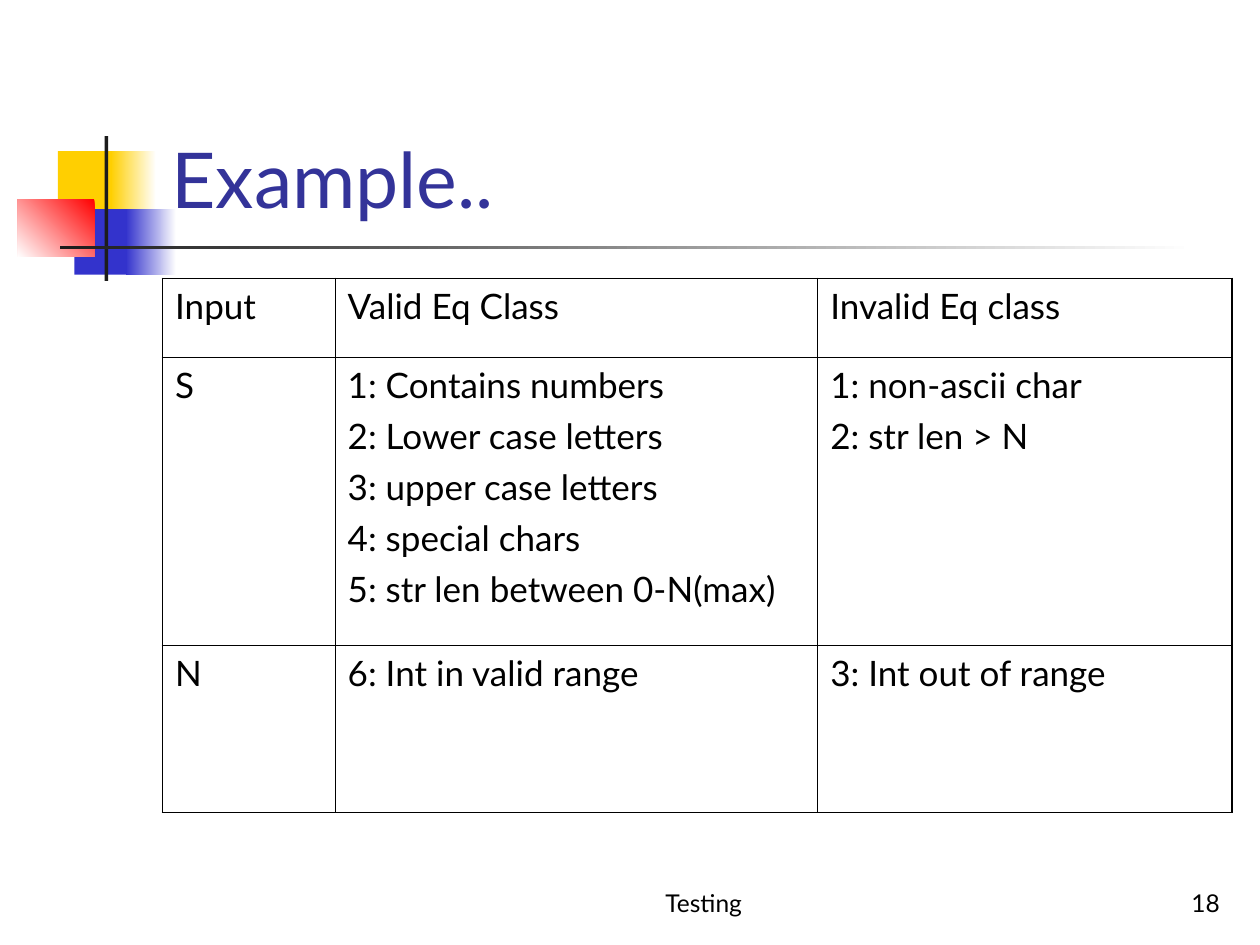
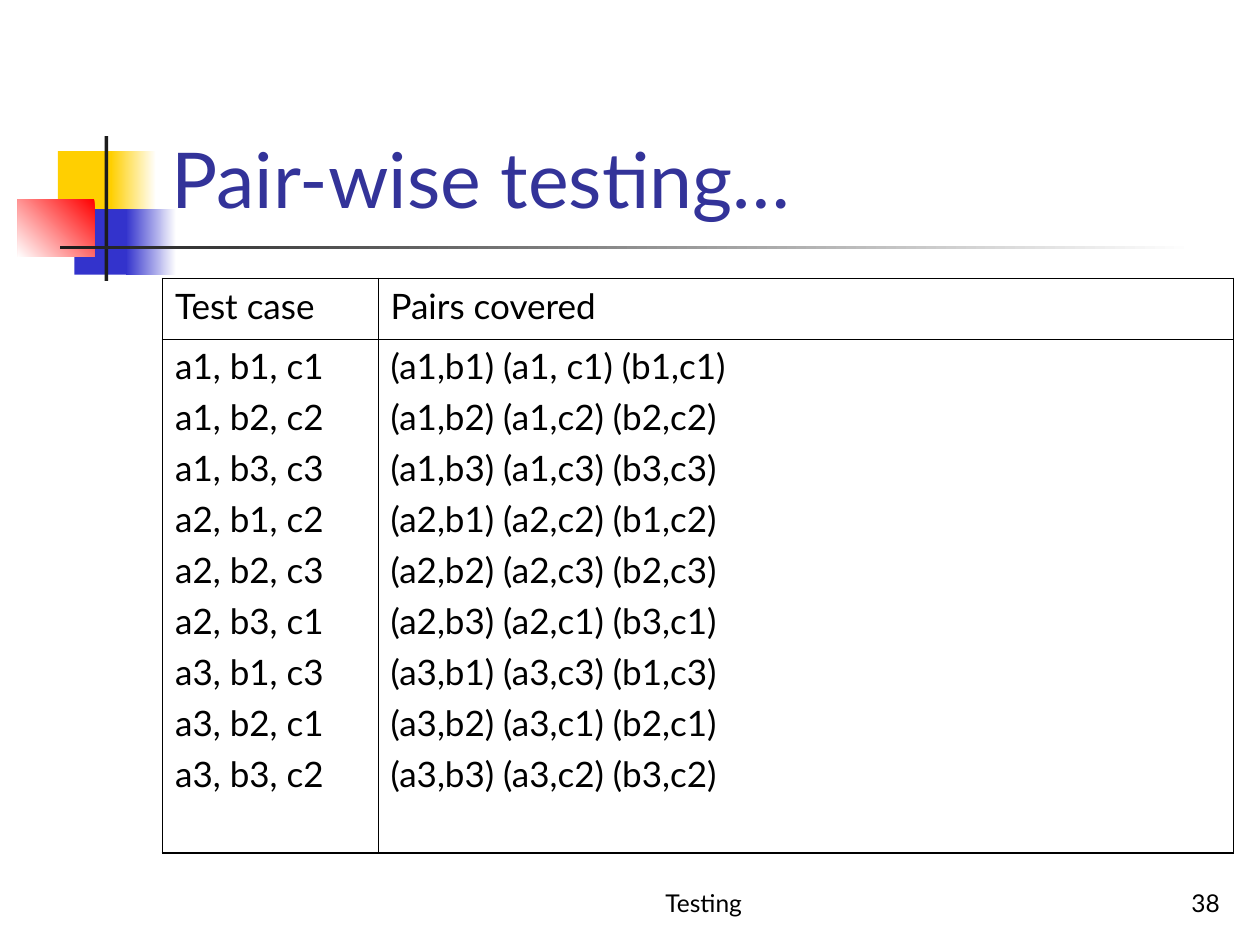
from dataclasses import dataclass
from typing import Optional

from lxml.etree import SubElement
from pptx import Presentation
from pptx.dml.color import RGBColor
from pptx.enum.shapes import MSO_SHAPE
from pptx.enum.text import MSO_ANCHOR, MSO_AUTO_SIZE, PP_ALIGN
from pptx.oxml.ns import qn
from pptx.slide import Slide, SlideLayout
from pptx.table import _Cell
from pptx.text.text import TextFrame
from pptx.util import Emu, Pt

PX_PER_INCH = 100
EMU_PER_PX = 914400 // PX_PER_INCH

WHITE = RGBColor(0xFF, 0xFF, 0xFF)
BLACK = RGBColor(0x00, 0x00, 0x00)
YELLOW = RGBColor(0xFF, 0xCF, 0x01)
BLUE = RGBColor(0x33, 0x33, 0xCC)
RED = RGBColor(0xFF, 0x00, 0x00)
CHARCOAL = RGBColor(0x1C, 0x1C, 0x1C)
TITLE_BLUE = RGBColor(0x33, 0x33, 0x99)

FONT = "Lato"
OUTER_BORDER = Pt(1.08)
INNER_BORDER = Pt(0.45)


@dataclass(frozen=True)
class Area:
    left: int
    top: int
    width: int
    height: int

    def emu(self) -> tuple[Emu, Emu, Emu, Emu]:
        return px(self.left), px(self.top), px(self.width), px(self.height)


@dataclass(frozen=True)
class Block:
    area: Area
    start: RGBColor
    end: Optional[RGBColor] = None
    angle: int = 180


@dataclass(frozen=True)
class TextStyle:
    size: int
    color: RGBColor = BLACK
    align: PP_ALIGN = PP_ALIGN.LEFT
    space_before: int = 0


@dataclass(frozen=True)
class TablePage:
    title: str
    number: str
    column_widths: list[int]
    row_heights: list[int]
    rows: list[list[list[str]]]


TITLE_AREA = Area(126, 23, 852, 160)
FOOTER_AREA = Area(400, 683, 317, 50)
NUMBER_AREA = Area(770, 683, 208, 50)
TABLE_LEFT, TABLE_TOP = 129, 221

TITLE_STYLE = TextStyle(44, TITLE_BLUE)
CELL_STYLE = TextStyle(20, space_before=5)
FOOTER_STYLE = TextStyle(14, align=PP_ALIGN.CENTER)
NUMBER_STYLE = TextStyle(14, align=PP_ALIGN.RIGHT)

MOTIF = [
    Block(Area(46, 120, 48, 52), YELLOW),
    Block(Area(88, 120, 36, 52), WHITE, YELLOW),
    Block(Area(59, 166, 46, 52), BLUE),
    Block(Area(100, 166, 40, 52), WHITE, BLUE),
    Block(Area(14, 158, 61, 46), RED, WHITE, 225),
    Block(Area(83, 108, 3, 115), CHARCOAL),
    Block(Area(48, 195, 900, 3), WHITE, CHARCOAL),
]

PAGES = [
    TablePage(
        "Example..", "18", [137, 383, 329], [63, 228, 133],
        [
            [["Input"], ["Valid Eq Class"], ["Invalid Eq class"]],
            [
                ["S"],
                [
                    "1: Contains numbers",
                    "2: Lower case letters",
                    "3: upper case letters",
                    "4: special chars",
                    "5: str len between 0-N(max)",
                ],
                ["1: non-ascii char", "2: str len > N"],
            ],
            [["N"], ["6: Int in valid range"], ["3: Int out of range"]],
        ],
    ),
    TablePage(
        "Pair-wise testing…", "38", [171, 679], [48, 408],
        [
            [["Test case"], ["Pairs covered"]],
            [
                [
                    "a1, b1, c1", "a1, b2, c2", "a1, b3, c3",
                    "a2, b1, c2", "a2, b2, c3", "a2, b3, c1",
                    "a3, b1, c3", "a3, b2, c1", "a3, b3, c2",
                ],
                [
                    "(a1,b1) (a1, c1) (b1,c1)",
                    "(a1,b2) (a1,c2) (b2,c2)",
                    "(a1,b3) (a1,c3) (b3,c3)",
                    "(a2,b1) (a2,c2) (b1,c2)",
                    "(a2,b2) (a2,c3) (b2,c3)",
                    "(a2,b3) (a2,c1) (b3,c1)",
                    "(a3,b1) (a3,c3) (b1,c3)",
                    "(a3,b2) (a3,c1) (b2,c1)",
                    "(a3,b3) (a3,c2) (b3,c2)",
                ],
            ],
        ],
    ),
]


def px(length: int) -> Emu:
    return Emu(length * EMU_PER_PX)


def write_text(frame: TextFrame, lines: list[str], style: TextStyle) -> None:
    for index, line in enumerate(lines):
        para = frame.add_paragraph() if index else frame.paragraphs[0]
        para.alignment = style.align
        para.space_before = Pt(style.space_before)
        span = para.add_run()
        span.text = line
        span.font.name = FONT
        span.font.size = Pt(style.size)
        span.font.color.rgb = style.color


def anchor_bottom(frame: TextFrame) -> None:
    frame.word_wrap = True
    frame.auto_size = MSO_AUTO_SIZE.NONE
    frame.vertical_anchor = MSO_ANCHOR.BOTTOM


def add_motif(page: Slide, layout: SlideLayout) -> None:
    for index, block in enumerate(MOTIF):
        box = page.shapes.add_shape(MSO_SHAPE.RECTANGLE, *block.area.emu())
        box.shadow.inherit = False
        box.line.fill.background()
        if block.end is None:
            box.fill.solid()
            box.fill.fore_color.rgb = block.start
        else:
            box.fill.gradient()
            box.fill.gradient_angle = block.angle
            for stop, color, position in zip(
                box.fill.gradient_stops, (block.start, block.end), (0, 1)
            ):
                stop.color.rgb = color
                stop.position = position
        box.element.nvSpPr.cNvPr.set("id", str(100 + index))
        layout.shapes.element.insert(2 + index, box.element)


def add_title(page: Slide, text: str) -> None:
    title = page.shapes.title
    title.left, title.top, title.width, title.height = TITLE_AREA.emu()
    anchor_bottom(title.text_frame)
    write_text(title.text_frame, [text], TITLE_STYLE)


def add_footer(page: Slide, area: Area, text: str, style: TextStyle) -> None:
    box = page.shapes.add_textbox(*area.emu())
    anchor_bottom(box.text_frame)
    write_text(box.text_frame, [text], style)


def set_border(cell: _Cell, side: str, is_outer: bool) -> None:
    width = OUTER_BORDER if is_outer else INNER_BORDER
    properties = cell._tc.get_or_add_tcPr()
    line = SubElement(properties, qn(f"a:ln{side}"), w=str(width))
    fill = SubElement(line, qn("a:solidFill"))
    SubElement(fill, qn("a:srgbClr"), val=str(BLACK))


def add_class_table(page: Slide, content: TablePage) -> None:
    widths, heights = content.column_widths, content.row_heights
    area = Area(TABLE_LEFT, TABLE_TOP, sum(widths), sum(heights))
    table = page.shapes.add_table(len(heights), len(widths), *area.emu()).table
    table.first_row = False
    table.horz_banding = False
    for column, width in zip(table.columns, widths):
        column.width = px(width)
    for row, height in zip(table.rows, heights):
        row.height = px(height)
    last_row, last_column = len(heights) - 1, len(widths) - 1
    for row_index, row in enumerate(content.rows):
        for column_index, lines in enumerate(row):
            cell = table.cell(row_index, column_index)
            write_text(cell.text_frame, lines, CELL_STYLE)
            set_border(cell, "L", column_index == 0)
            set_border(cell, "R", column_index == last_column)
            set_border(cell, "T", row_index == 0)
            set_border(cell, "B", row_index == last_row)
            cell.fill.background()


def main() -> None:
    deck = Presentation()
    deck.slide_width, deck.slide_height = px(1000), px(750)
    layout = deck.slide_layouts.get_by_name("Title Only")
    for index, content in enumerate(PAGES):
        page = deck.slides.add_slide(layout)
        if index == 0:
            add_motif(page, layout)
        add_title(page, content.title)
        add_class_table(page, content)
        add_footer(page, FOOTER_AREA, "Testing", FOOTER_STYLE)
        add_footer(page, NUMBER_AREA, content.number, NUMBER_STYLE)
    deck.save("out.pptx")


if __name__ == "__main__":
    main()
